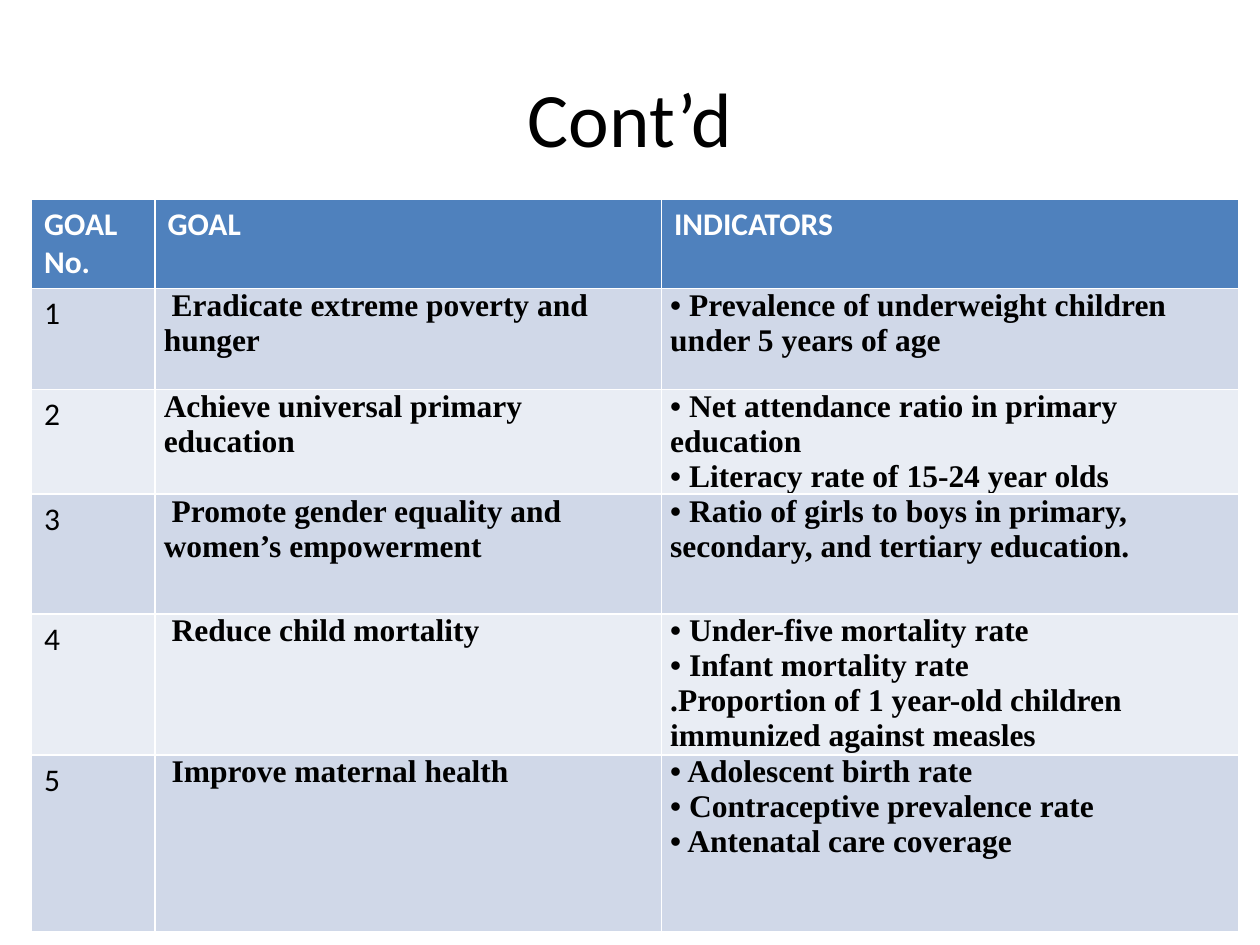
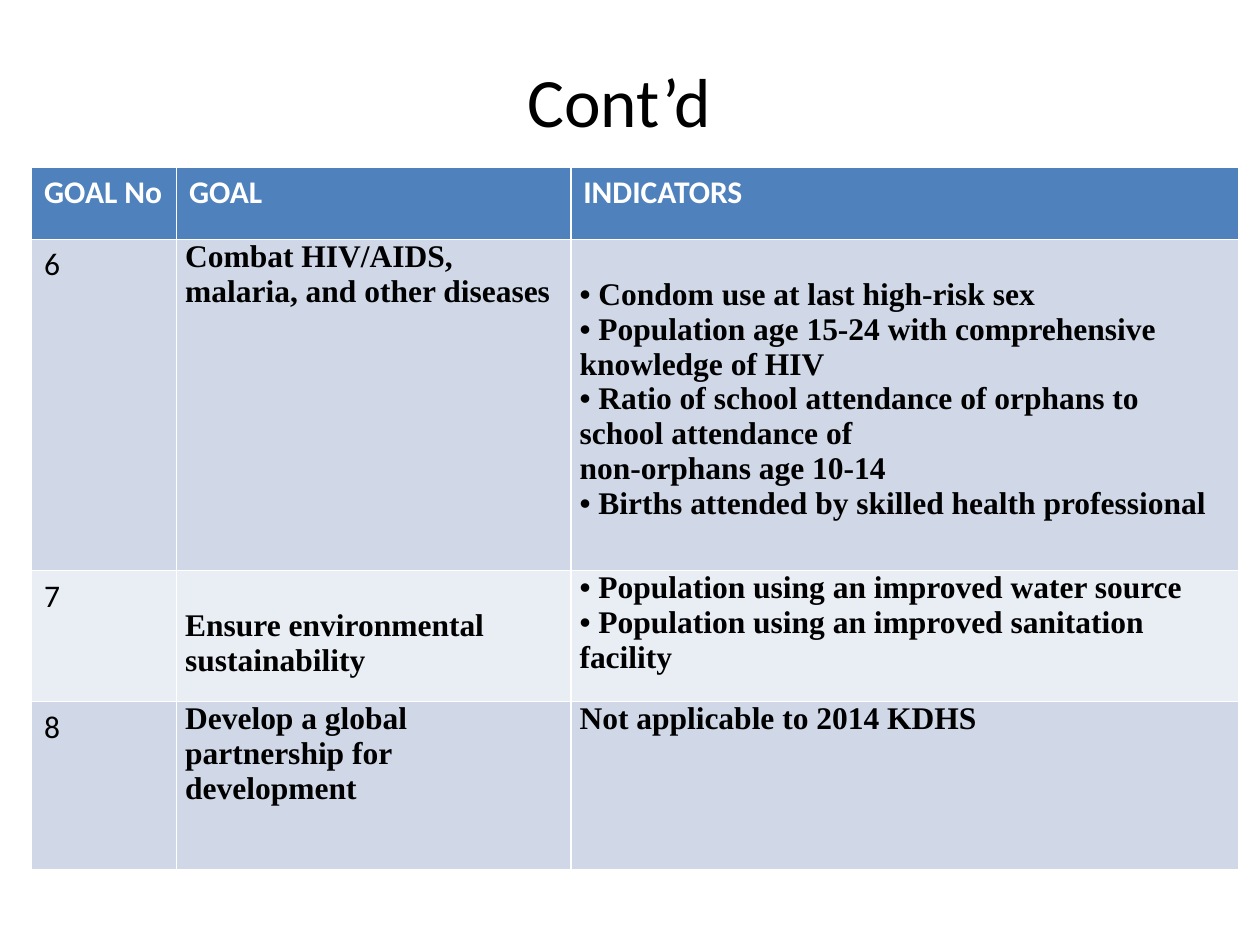
from dataclasses import dataclass

from pptx import Presentation
from pptx.dml.color import RGBColor as Color
from pptx.enum.text import MSO_ANCHOR as Anchor, PP_ALIGN as Align
from pptx.util import Inches, Pt


@dataclass(frozen=True)
class Theme:
    header: Color = Color.from_string("4F81BD")
    bands: tuple = (Color.from_string("D0D8E8"), Color.from_string("E9EDF4"))
    light: Color = Color.from_string("FFFFFF")
    dark: Color = Color.from_string("000000")
    sans: str = "Calibri"
    serif: str = "Times New Roman"
    text_size: float = 18
    side_inset: float = 0.07
    lowered_inset: float = 0.3


THEME = Theme()
TITLE = "Cont’d"
TABLE_LEFT = 0.25

PAGES = [
    {
        "title_frame": (0.5, 0.3, 9, 1.25),
        "title_size": 44,
        "table_top": 1.58,
        "columns": (0.98, 4.02, 4.58),
        "heights": (0.7, 0.8, 0.83, 0.95, 1.12, 1.4),
        "header": ("GOAL No.", "GOAL", "INDICATORS"),
        "lowered": (),
        "goals": [
            ("1", " Eradicate extreme poverty and hunger",
             ["• Prevalence of underweight children under 5 years of age"]),
            ("2", "Achieve universal primary education",
             ["• Net attendance ratio in primary education",
              "• Literacy rate of 15-24 year olds"]),
            ("3", " Promote gender equality and women’s empowerment",
             ["• Ratio of girls to boys in primary, secondary, and tertiary education."]),
            ("4", " Reduce child mortality",
             ["• Under-five mortality rate",
              "• Infant mortality rate",
              ".Proportion of 1 year-old children immunized against measles"]),
            ("5", " Improve maternal health",
             ["• Adolescent birth rate",
              "• Contraceptive prevalence rate",
              "• Antenatal care coverage"]),
        ],
    },
    {
        "title_frame": (0.5, 0.42, 8.83, 0.75),
        "title_size": 39.6,
        "table_top": 1.33,
        "columns": (1.15, 3.13, 5.3),
        "heights": (0.57, 2.63, 1.04, 1.33),
        "header": ("GOAL No", "GOAL", "INDICATORS"),
        "lowered": ((1, 2), (2, 1)),
        "goals": [
            ("6", "Combat HIV/AIDS, malaria, and other diseases",
             ["• Condom use at last high-risk sex",
              "• Population age 15-24 with comprehensive knowledge of HIV",
              "• Ratio of school attendance of orphans to school attendance of",
              "non-orphans age 10-14",
              "• Births attended by skilled health professional"]),
            ("7", "Ensure environmental sustainability",
             ["• Population using an improved water source",
              "• Population using an improved sanitation facility"]),
            ("8", "Develop a global partnership for development",
             ["Not applicable to 2014 KDHS"]),
        ],
    },
]


def style_text(frame, family, size, color, bold=False):
    for para in frame.paragraphs:
        para.font.name = family
        para.font.size = Pt(size)
        para.font.color.rgb = color
        para.font.bold = bold


def add_title(page, content):
    title = page.shapes.title
    title.left, title.top, title.width, title.height = map(Inches, content["title_frame"])
    frame = title.text_frame
    frame.text = TITLE
    frame.vertical_anchor = Anchor.MIDDLE
    frame.paragraphs[0].alignment = Align.CENTER
    style_text(frame, THEME.sans, content["title_size"], THEME.dark)


def fill_cell(cell, text, fill, family, color, bold):
    cell.text_frame.text = text
    cell.fill.solid()
    cell.fill.fore_color.rgb = fill
    style_text(cell.text_frame, family, THEME.text_size, color, bold)


def add_goal_table(page, content):
    columns, heights = content["columns"], content["heights"]
    table = page.shapes.add_table(
        len(heights), len(columns), Inches(TABLE_LEFT), Inches(content["table_top"]),
        Inches(sum(columns)), Inches(sum(heights))).table
    for column, width in zip(table.columns, columns):
        column.width = Inches(width)
    for row, height in zip(table.rows, heights):
        row.height = Inches(height)

    for index, heading in enumerate(content["header"]):
        fill_cell(table.cell(0, index), heading, THEME.header, THEME.sans, THEME.light, True)

    for row, (number, goal, indicators) in enumerate(content["goals"], start=1):
        band = THEME.bands[(row - 1) % 2]
        fill_cell(table.cell(row, 0), number, band, THEME.sans, THEME.dark, False)
        for column, text in enumerate((goal, "\n".join(indicators)), start=1):
            cell = table.cell(row, column)
            fill_cell(cell, text, band, THEME.serif, THEME.dark, True)
            cell.margin_left = cell.margin_right = Inches(THEME.side_inset)
            lowered = (row, column) in content["lowered"]
            cell.margin_top = Inches(THEME.lowered_inset if lowered else 0)
            cell.margin_bottom = 0


def main():
    deck = Presentation()
    deck.slide_width, deck.slide_height = Inches(10), Inches(7.5)
    title_only = deck.slide_layouts.get_by_name("Title Only")
    for content in PAGES:
        page = deck.slides.add_slide(title_only)
        add_title(page, content)
        add_goal_table(page, content)
    deck.save("out.pptx")


if __name__ == "__main__":
    main()
